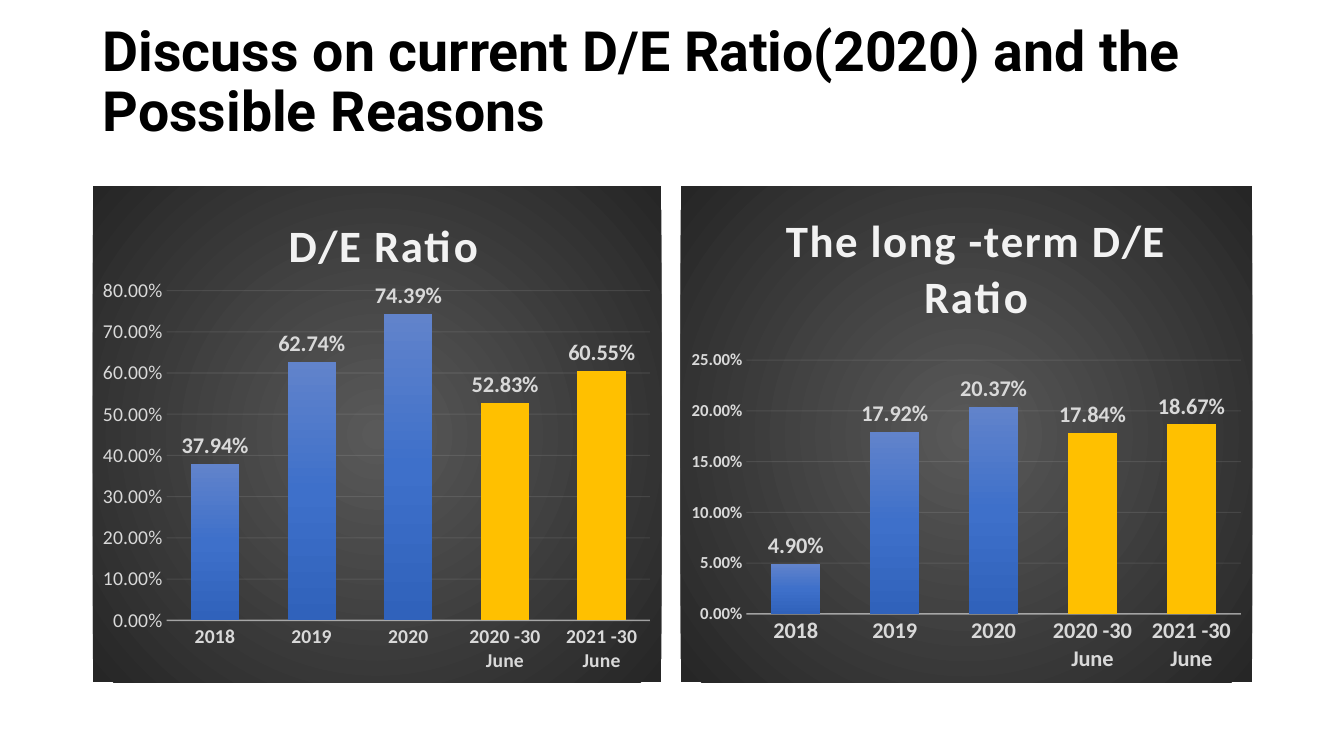
import pptx
import pptx.chart.data
import pptx.dml.color
import pptx.enum.chart
import pptx.enum.text
import pptx.oxml
import pptx.oxml.ns
import pptx.util
from pptx.util import Inches, Pt

COLORS = {
    "title": "000000", "label": "D9D9D9", "heading": "F2F2F2", "june": "FFC000",
    "bar top": "6183CB", "bar middle": "3E70CA", "bar bottom": "3062BB",
    "centre": "595959", "edge": "262626",
}
TITLE = "Discuss on current D/E Ratio(2020) and the Possible Reasons"
YEARS = ["2018", "2019", "2020", "2020 -30 June", "2021 -30 June"]
JUNE_POINTS = (3, 4)
PERCENT = "0.00%"
# plot and heading are fractions of the chart: x, y, then width, height
CHARTS = [
    {"heading": "D/E Ratio", "left": 0.92, "width": 5.64,
     "values": [0.3794, 0.6274, 0.7439, 0.5283, 0.6055], "max": 0.8, "step": 0.1,
     "category size": 14, "value size": 14, "value bold": False,
     "heading at": (0.33, 0.04), "plot": (0.13, 0.21, 0.85, 0.665)},
    {"heading": "The long -term D/E Ratio", "left": 6.75, "width": 5.67,
     "values": [0.049, 0.1792, 0.2037, 0.1784, 0.1867], "max": 0.25, "step": 0.05,
     "category size": 16, "value size": 12, "value bold": True,
     "heading at": (0.17, 0.03), "plot": (0.115, 0.35, 0.865, 0.512)},
]
CHART_TOP, CHART_HEIGHT = 1.85, 4.92
NS = pptx.oxml.ns.nsdecls("a", "c")
qn = pptx.oxml.ns.qn


def rgb(name):
    return pptx.dml.color.RGBColor.from_string(COLORS[name])


def style_font(font, size, color="label", bold=True, name="Calibri"):
    font.size, font.bold, font.name = Pt(size), bold, name
    font.color.rgb = rgb(color)


def gradient(stops, direction):
    marks = "".join(f'<a:gs pos="{pos * 1000}"><a:srgbClr val="{COLORS[name]}"/></a:gs>'
                    for pos, name in stops)
    return pptx.oxml.parse_xml(
        f"<a:gradFill {NS}><a:gsLst>{marks}</a:gsLst>{direction}</a:gradFill>")


def layout(x, y, w=None, h=None):
    """Fixed place inside the chart; with a size it bounds the inner plot."""
    target = '<c:layoutTarget val="inner"/>' if w else ""
    size = f'<c:w val="{w}"/><c:h val="{h}"/>' if w else ""
    return pptx.oxml.parse_xml(
        f'<c:layout {NS}><c:manualLayout>{target}<c:xMode val="edge"/><c:yMode val="edge"/>'
        f'<c:x val="{x}"/><c:y val="{y}"/>{size}</c:manualLayout></c:layout>')


def style_line(line, width, opacity):
    line.width = Pt(width)
    line.color.rgb = rgb("heading")
    color = line._get_or_add_ln().find(".//" + qn("a:srgbClr"))
    color.append(pptx.oxml.parse_xml(f'<a:alpha {NS} val="{opacity * 1000}"/>'))


def add_heading(chart, text, place):
    chart.has_title = True
    title = chart.chart_title
    r = title.text_frame.paragraphs[0].add_run()
    r.text = text
    style_font(r.font, 32, "heading")
    r.font._element.set("spc", "100")
    title.include_in_layout = False
    element = title._element
    for old in element.findall(qn("c:layout")):
        element.remove(old)
    element.find(qn("c:tx")).addnext(layout(*place))


def style_axes(chart, info):
    none = pptx.enum.chart.XL_TICK_MARK.NONE
    cat, val = chart.category_axis, chart.value_axis
    for axis in (cat, val):
        axis.major_tick_mark = axis.minor_tick_mark = none
    style_font(cat.tick_labels.font, info["category size"])
    style_font(val.tick_labels.font, info["value size"], bold=info["value bold"])
    style_line(cat.format.line, 1, 54)
    val.format.line.fill.background()
    val.has_major_gridlines = True
    style_line(val.major_gridlines.format.line, 0.75, 10)
    val.minimum_scale, val.maximum_scale, val.major_unit = 0, info["max"], info["step"]
    val.tick_labels.number_format = PERCENT
    val.tick_labels.number_format_is_linked = False


def style_bars(plot):
    plot.gap_width, plot.overlap, plot.vary_by_categories = 100, -24, False
    series = plot.series[0]
    series.invert_if_negative = False
    sp_pr = series._element.get_or_add_spPr()
    sp_pr.append(gradient([(0, "bar top"), (50, "bar middle"), (100, "bar bottom")],
                          '<a:lin ang="5400000" scaled="0"/>'))
    for i in JUNE_POINTS:
        fill = series.points[i].format.fill
        fill.solid()
        fill.fore_color.rgb = rgb("june")
    labels = series.data_labels
    labels.show_value = True
    labels.position = pptx.enum.chart.XL_LABEL_POSITION.OUTSIDE_END
    labels.number_format, labels.number_format_is_linked = PERCENT, False
    style_font(labels.font, 16)


def add_ratio_chart(slide, info):
    data = pptx.chart.data.CategoryChartData(number_format=PERCENT)
    data.categories = YEARS
    data.add_series("Series 1", info["values"])
    chart = slide.shapes.add_chart(
        pptx.enum.chart.XL_CHART_TYPE.COLUMN_CLUSTERED, Inches(info["left"]),
        Inches(CHART_TOP), Inches(info["width"]), Inches(CHART_HEIGHT), data).chart
    chart.has_legend = False
    style_font(chart.font, 10, "title", bold=False)
    add_heading(chart, info["heading"], info["heading at"])
    style_axes(chart, info)
    style_bars(chart.plots[0])

    space = chart._chartSpace
    area = space.find(".//" + qn("c:plotArea"))
    for old in area.findall(qn("c:layout")):
        area.remove(old)
    area.insert(0, layout(*info["plot"]))
    background = pptx.oxml.parse_xml(f"<c:spPr {NS}><a:ln><a:noFill/></a:ln></c:spPr>")
    background.insert(0, gradient(
        [(0, "centre"), (100, "edge")],
        '<a:path path="circle"><a:fillToRect l="50000" t="50000" r="50000" b="50000"/></a:path>'))
    space.find(qn("c:chart")).addnext(background)


def add_title(slide):
    tf = slide.shapes.add_textbox(
        Inches(0.92), Inches(0.4), Inches(11.5), Inches(1.45)).text_frame
    tf.word_wrap = True
    tf.vertical_anchor = pptx.enum.text.MSO_ANCHOR.MIDDLE
    tf.margin_bottom = Inches(0.64)
    p = tf.paragraphs[0]
    p.line_spacing = 0.9
    r = p.add_run()
    r.text = TITLE
    style_font(r.font, 39.6, "title", name="Roboto")


def main():
    prs = pptx.Presentation()
    prs.slide_width, prs.slide_height = Inches(13.33), Inches(7.5)
    slide = prs.slides.add_slide(prs.slide_layouts[6])
    add_title(slide)
    for info in CHARTS:
        add_ratio_chart(slide, info)
    prs.save("out.pptx")


if __name__ == "__main__":
    main()
